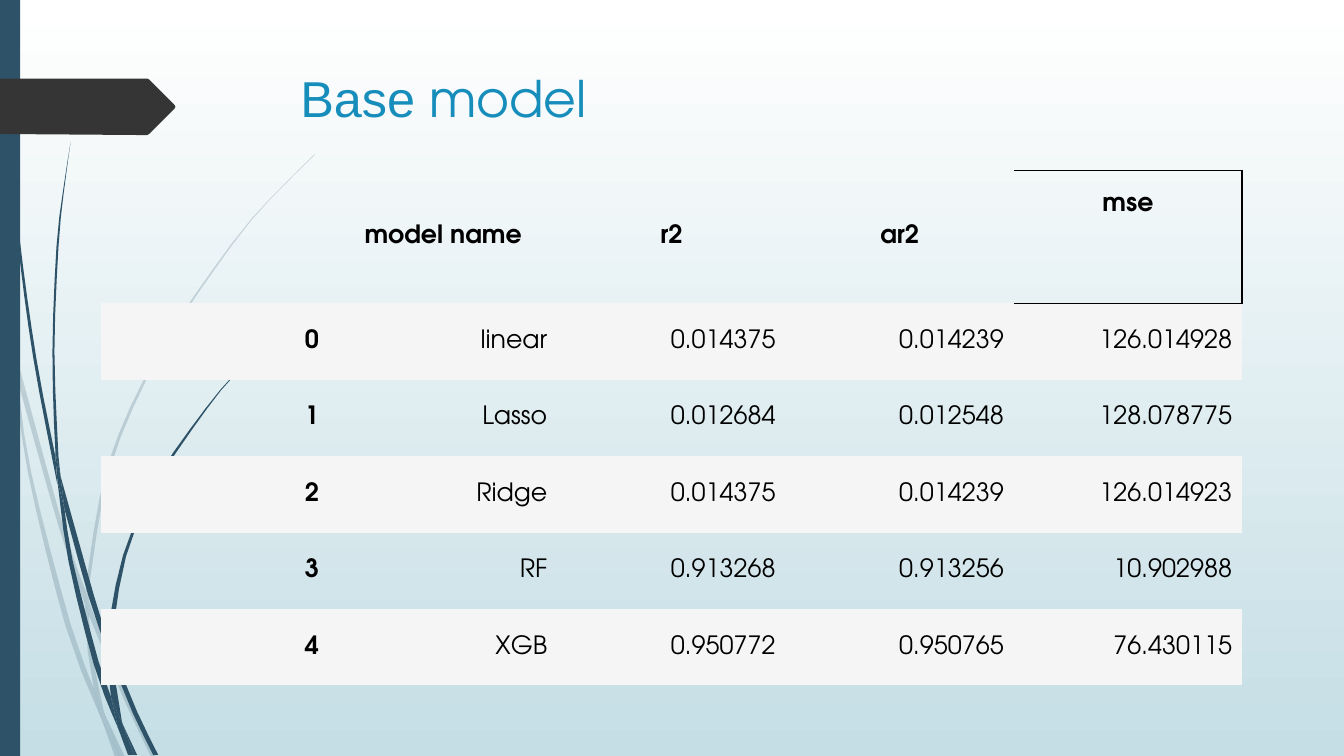
import math
from dataclasses import dataclass

from lxml import etree
from pptx import Presentation, util as u
from pptx.dml import color
from pptx.enum import shapes, text
from pptx.oxml import ns

Point = tuple[float, float]
SCALE = 9144
CHORD = 40


@dataclass(frozen=True)
class Theme:
    sky_top: str = "FFFFFF"
    sky_bottom: str = "C5DEE5"
    navy: str = "2E5369"
    charcoal: str = "353535"
    title: str = "178DBB"
    ink: str = "000000"
    band: str = "F5F5F5"
    title_size: int = 36
    cell_size: int = 18
    title_font: str = "Arial"
    body_font: str = "TeX Gyre Adventor"


@dataclass(frozen=True)
class Wisp:
    outward: list[Point]
    back: list[Point]


@dataclass(frozen=True)
class Score:
    index: str
    model: str
    r2: str
    ar2: str
    mse: str


THEME = Theme()
PALE_WISPS = [
    Wisp([(0, 282), (9, 322), (11, 350)], [(10, 344), (0, 299)]),
    Wisp([(14, 345), (62, 520), (85, 586)], [(84, 599), (58, 522), (17, 376)]),
    Wisp([(88, 596), (92, 607), (127, 692), (155, 751)], [(150, 751), (123, 694), (88, 610)]),
    Wisp([(105, 711), (124, 751)], [(119, 751)]),
    Wisp([(11, 350), (17, 376), (31, 469), (70, 619), (93, 683), (101, 714)],
         [(92, 693), (65, 621), (28, 470), (11, 350)]),
    Wisp([(84, 599), (88, 608), (91, 646), (103, 706), (105, 711)],
         [(96, 692), (93, 683), (87, 646), (84, 599)]),
    Wisp([(88, 596), (85, 584), (107, 461), (158, 348), (228, 244), (268, 197), (312, 153)],
         [(312, 154), (268, 198), (229, 245), (160, 349), (110, 462), (88, 584)]),
    Wisp([(101, 714), (119, 751)], [(114, 751)]),
    Wisp([(85, 586), (88, 596), (88, 610)], [(88, 608), (84, 599)]),
    Wisp([(93, 683), (96, 692), (105, 711), (119, 751)], [(101, 714), (99, 707)]),
]
DARK_WISPS = [
    Wisp([(3, 0), (7, 110), (17, 233), (33, 355), (57, 481)],
         [(55, 453), (36, 355), (19, 232), (8, 109), (4, 0)]),
    Wisp([(60, 472), (93, 590), (106, 631)], [(106, 645), (88, 592), (64, 505)]),
    Wisp([(110, 641), (113, 649), (136, 706), (157, 749)], [(152, 749), (132, 708), (111, 656)]),
    Wisp([(57, 477), (64, 505), (72, 556), (98, 657), (110, 691), (117, 722)],
         [(111, 708), (93, 659), (68, 557), (57, 477)]),
    Wisp([(70, 141), (62, 193), (56, 245), (52, 349), (55, 449), (60, 472)],
         [(58, 453), (54, 349), (58, 245), (63, 193), (70, 141)]),
    Wisp([(122, 719), (136, 749)], [(133, 749)]),
    Wisp([(55, 449), (60, 472), (64, 505)], [(57, 477), (55, 453)]),
    Wisp([(260, 344), (231, 373), (204, 405), (156, 474), (122, 551), (106, 631)],
         [(110, 641), (125, 552), (158, 476), (205, 406), (231, 374), (261, 344)]),
    Wisp([(117, 722), (131, 749)], [(127, 749)]),
    Wisp([(106, 645), (111, 656), (121, 716), (122, 719)], [(116, 706), (110, 691)]),
    Wisp([(106, 631), (110, 641), (111, 656)], [(109, 651), (106, 645)]),
    Wisp([(110, 691), (116, 706), (122, 719), (133, 749)], [(130, 749), (117, 722)]),
]
ARROW = [(0, 78), (146, 78), (148, 79), (173, 104), (174, 106), (173, 108), (148, 133),
         (146, 134), (136, 134), (0, 133)]
HEADER = Score("", "model name", "r2", "ar2", "mse")
SCORES = [
    Score("0", "linear", "0.014375", "0.014239", "126.014928"),
    Score("1", "Lasso", "0.012684", "0.012548", "128.078775"),
    Score("2", "Ridge", "0.014375", "0.014239", "126.014923"),
    Score("3", "RF", "0.913268", "0.913256", "10.902988"),
    Score("4", "XGB", "0.950772", "0.950765", "76.430115"),
]


def px(length: float) -> u.Emu:
    return u.Emu(round(length * SCALE))


def rgb(code: str) -> color.RGBColor:
    return color.RGBColor.from_string(code)


def paint(shape, fill: str, opacity: int = 100) -> None:
    shape.shadow.inherit = False
    shape.line.fill.background()
    shape.fill.solid()
    shape.fill.fore_color.rgb = rgb(fill)
    if opacity < 100:
        tint = shape.fill._xPr.find(".//" + ns.qn("a:srgbClr"))
        etree.SubElement(tint, ns.qn("a:alpha"), val=str(opacity * 1000))


def smooth(edge: list[Point]) -> list[Point]:
    padded = [edge[0], *edge, edge[-1]]
    curve = [edge[0]]
    for a, b, c, d in zip(padded, padded[1:], padded[2:], padded[3:]):
        steps = math.ceil(math.dist(b, c) / CHORD)
        for step in range(1, steps + 1):
            t = step / steps
            x, y = (
                b[i] + (c[i] - a[i]) * t / 2
                + (2 * a[i] - 5 * b[i] + 4 * c[i] - d[i]) * t**2 / 2
                + (3 * b[i] - a[i] - 3 * c[i] + d[i]) * t**3 / 2
                for i in (0, 1)
            )
            curve.append((x, y))
    return curve


def draw_outline(page, points: list[Point], fill: str, opacity: int = 100) -> None:
    corners = [(px(x), px(y)) for x, y in points]
    builder = page.shapes.build_freeform(*corners[0], scale=1.0)
    builder.add_line_segments(corners[1:], close=True)
    paint(builder.convert_to_shape(), fill, opacity)


def add_span(para, wording: str, *, size: int, font: str, ink: str, bold: bool = False) -> None:
    span = para.add_run()
    span.text = wording
    span.font.size = u.Pt(size)
    span.font.name = font
    span.font.bold = bold
    span.font.color.rgb = rgb(ink)


def outline_cell(cell, sides: tuple[str, ...]) -> None:
    properties = cell._tc.get_or_add_tcPr()
    for place, side in enumerate(sides):
        line = etree.Element(ns.qn(f"a:{side}"), w=str(u.Pt(1)))
        solid = etree.SubElement(line, ns.qn("a:solidFill"))
        etree.SubElement(solid, ns.qn("a:srgbClr"), val=THEME.ink)
        properties.insert(place, line)


def draw_scores(page) -> None:
    rows = [HEADER, *SCORES]
    frame = page.shapes.add_table(len(rows), 5, px(100), px(169), px(1132), px(511))
    table = frame.table
    table.first_row = table.horz_banding = False
    table._tbl.tblPr.find(ns.qn("a:tableStyleId")).text = "{2D5ABB26-0587-4C30-8999-92F81FD0307C}"
    for row_number, score in enumerate(rows):
        table.rows[row_number].height = px((511 - 132) / len(SCORES) if row_number else 132)
        values = (score.index, score.model, score.r2, score.ar2, score.mse)
        for column, value in enumerate(values):
            cell = table.cell(row_number, column)
            cell.vertical_anchor = text.MSO_ANCHOR.MIDDLE
            if row_number % 2:
                cell.fill.solid()
                cell.fill.fore_color.rgb = rgb(THEME.band)
            else:
                cell.fill.background()
            if value:
                para = cell.text_frame.paragraphs[0]
                para.alignment = text.PP_ALIGN.RIGHT if row_number else text.PP_ALIGN.CENTER
                add_span(para, value, size=THEME.cell_size, font=THEME.body_font,
                         ink=THEME.ink, bold=row_number == 0 or column == 0)
    corner = table.cell(0, 4)
    corner.vertical_anchor = text.MSO_ANCHOR.TOP
    corner.margin_top = px(22)
    outline_cell(corner, ("lnR", "lnT", "lnB"))


def main() -> None:
    deck = Presentation()
    deck.slide_width, deck.slide_height = px(1333), px(750)
    page = deck.slides.add_slide(deck.slide_layouts[6])
    sky = page.background.fill
    sky.gradient()
    sky.gradient_angle = 270
    for stop, tone in zip(sky.gradient_stops, (THEME.sky_top, THEME.sky_bottom)):
        stop.color.rgb = rgb(tone)
    for wisps, opacity in ((PALE_WISPS, 20), (DARK_WISPS, 100)):
        for wisp in wisps:
            draw_outline(page, smooth(wisp.outward) + smooth(wisp.back), THEME.navy, opacity)
    bar = page.shapes.add_shape(shapes.MSO_SHAPE.RECTANGLE, 0, 0, px(20), px(750))
    paint(bar, THEME.navy)
    draw_outline(page, ARROW, THEME.charcoal)
    box = page.shapes.add_textbox(px(288), px(62), px(944), px(107))
    box.text_frame.word_wrap = True
    para = box.text_frame.paragraphs[0]
    for wording, font in (("Base", THEME.title_font), (" model", THEME.body_font)):
        add_span(para, wording, size=THEME.title_size, font=font, ink=THEME.title)
    draw_scores(page)
    deck.save("out.pptx")


if __name__ == "__main__":
    main()
